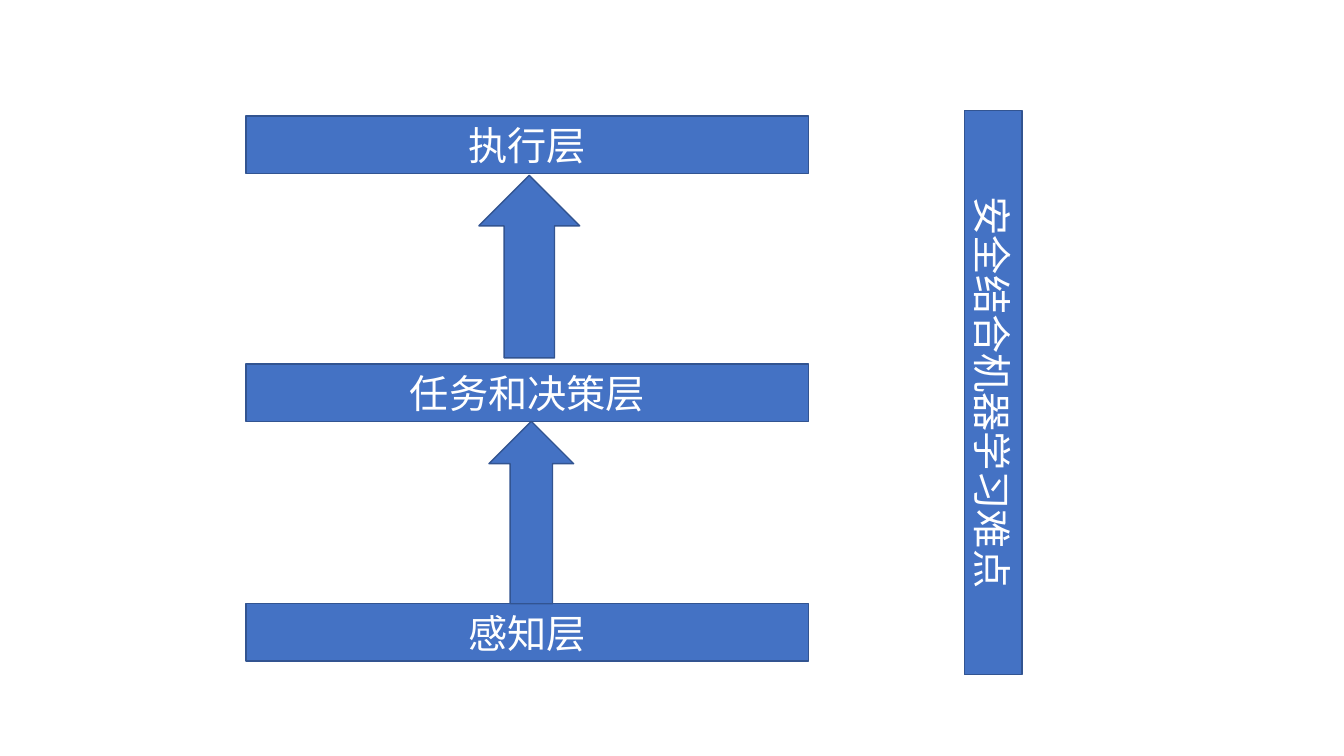
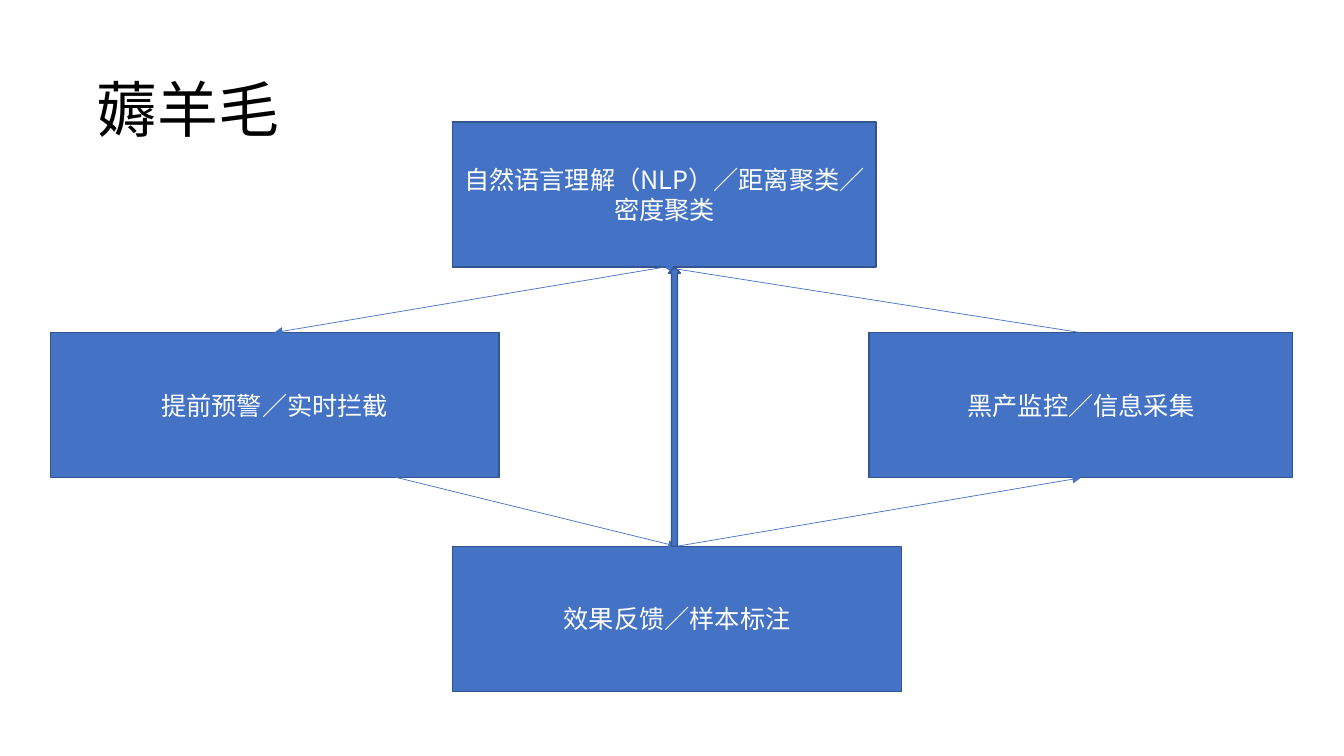
import pptx
import pptx.util
import pptx.dml.color
import pptx.enum.shapes
import pptx.enum.text
import pptx.oxml.ns
import lxml.etree

PX = 9144  # EMU, 100 px to the inch
FONT = "Noto Sans CJK SC"
BLUE, EDGE, WHITE, BLACK = "4472C4", "325491", "FFFFFF", "000000"
SHAPE = pptx.enum.shapes.MSO_SHAPE
ALIGN = pptx.enum.text.PP_ALIGN
ANCHOR = pptx.enum.text.MSO_ANCHOR
qn = pptx.oxml.ns.qn

LAYER_LEFT, LAYER_W, LAYER_H = 244, 558, 57
LAYERS = [("感知层", 599), ("任务和决策层", 361), ("执行层", 115)]
DIFFICULTY = ("安全结合机器学习难点", (705, 361, 560, LAYER_H))
LAYER_ARROWS = [(485, 418, 84, 181), (475, 174, 100, 181)]

TITLE = ("薅羊毛", (86, 74, 1150, 119))
STEP_H = 144
STEPS = [
    ("自然语言理解（NLP）／距离聚类／密度聚类", (449, 121, 420, STEP_H)),
    ("黑产监控／信息采集", (862, 330, 420, STEP_H)),
    ("提前预警／实时拦截", (50, 330, 445, STEP_H)),
    ("效果反馈／样本标注", (449, 542, 445, STEP_H)),
]
FLOWS = [
    ((1072, 330), (659, 265)),
    ((659, 265), (272, 330)),
    ((236, 435), (671, 542)),
    ((671, 542), (1072, 474)),
]
FEEDBACK_ARROW = (663, 265, 12, 277)


def emu(lengths):
    return [n * PX for n in lengths]


def rgb(value):
    return pptx.dml.color.RGBColor.from_string(value)


def write(tf, text, size, color, align):
    tf.word_wrap = True
    p = tf.paragraphs[0]
    p.text = text
    p.alignment = align
    p.font.size = pptx.util.Pt(size)
    p.font.color.rgb = rgb(color)
    p.font.name = FONT
    east_asian = lxml.etree.SubElement(p._p.pPr.find(qn("a:defRPr")), qn("a:ea"))
    east_asian.set("typeface", FONT)
    return p


def add_block(s, kind, box, text="", size=18):
    sp = s.shapes.add_shape(kind, *emu(box))
    sp.shadow.inherit = False
    sp.fill.solid()
    sp.fill.fore_color.rgb = rgb(BLUE)
    sp.line.color.rgb = rgb(EDGE)
    sp.line.width = pptx.util.Pt(1)
    if text:
        sp.text_frame.vertical_anchor = ANCHOR.MIDDLE
        write(sp.text_frame, text, size, WHITE, ALIGN.CENTER)
    return sp


def add_flow(s, start, end):
    line = s.shapes.add_connector(
        pptx.enum.shapes.MSO_CONNECTOR.STRAIGHT, *emu(start + end))
    line.line.color.rgb = rgb(BLUE)
    line.line.width = pptx.util.Pt(0.5)
    lxml.etree.SubElement(line.line._get_or_add_ln(), qn("a:tailEnd"), type="triangle")
    lxml.etree.SubElement(line._element.spPr, qn("a:effectLst"))


def add_title(s, text, box):
    tf = s.shapes.add_textbox(*emu(box)).text_frame
    write(tf, text, 43.5, BLACK, ALIGN.LEFT).line_spacing = 0.9


def build_layers(s):
    for text, top in LAYERS:
        add_block(s, SHAPE.RECTANGLE, (LAYER_LEFT, top, LAYER_W, LAYER_H), text, 28)
    text, box = DIFFICULTY
    add_block(s, SHAPE.RECTANGLE, box, text, 28).rotation = 90
    for box in LAYER_ARROWS:
        add_block(s, SHAPE.UP_ARROW, box)


def build_cycle(s):
    for text, box in STEPS:
        add_block(s, SHAPE.RECTANGLE, box, text)
    for start, end in FLOWS:
        add_flow(s, start, end)
    add_title(s, *TITLE)
    add_block(s, SHAPE.UP_ARROW, FEEDBACK_ARROW)


def main():
    prs = pptx.Presentation()
    prs.slide_width, prs.slide_height = emu((1333, 750))
    for build in (build_layers, build_cycle):
        build(prs.slides.add_slide(prs.slide_layouts[6]))
    prs.save("out.pptx")


if __name__ == "__main__":
    main()
